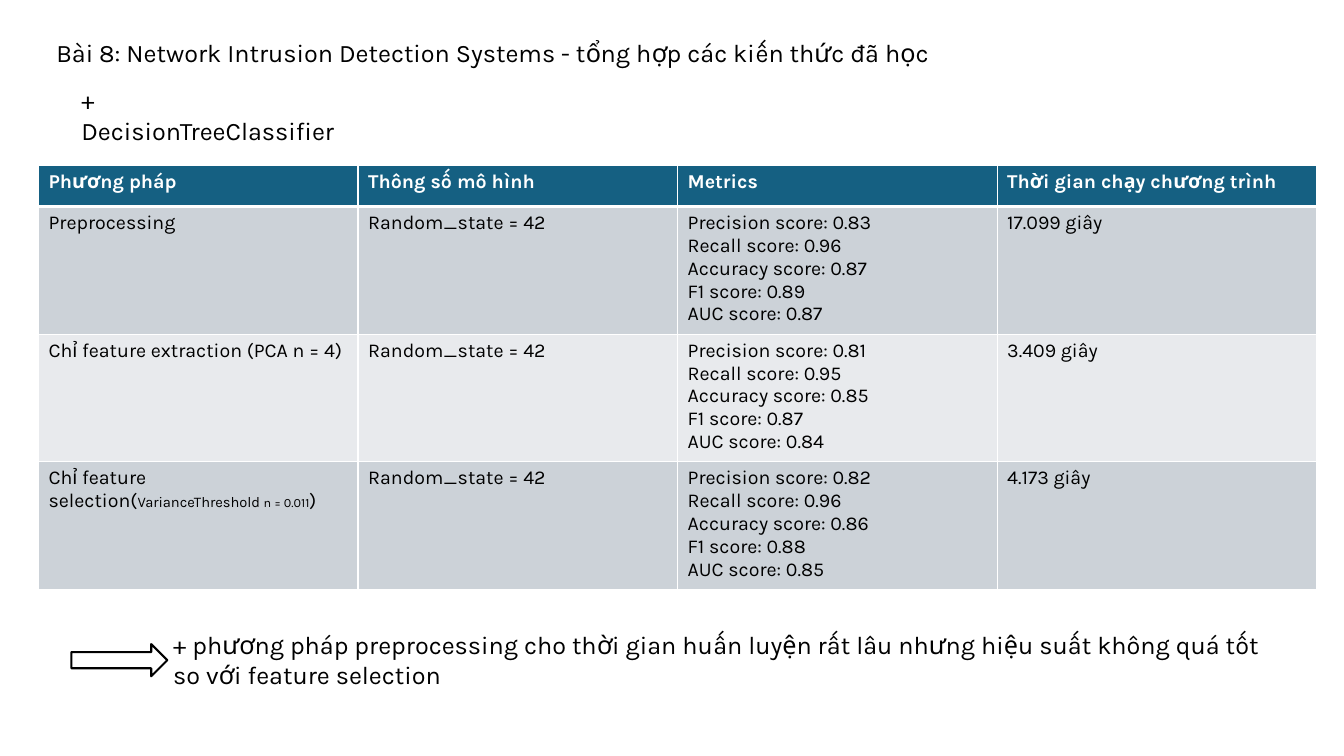
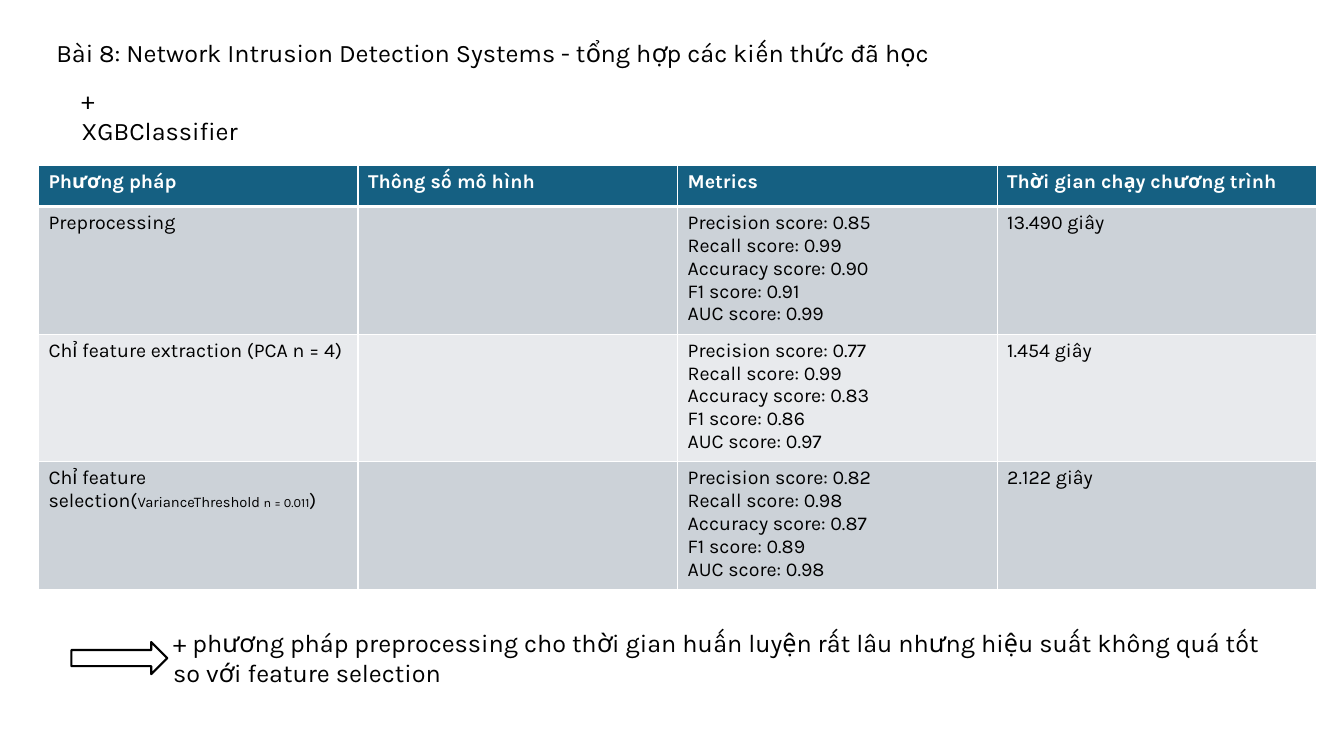
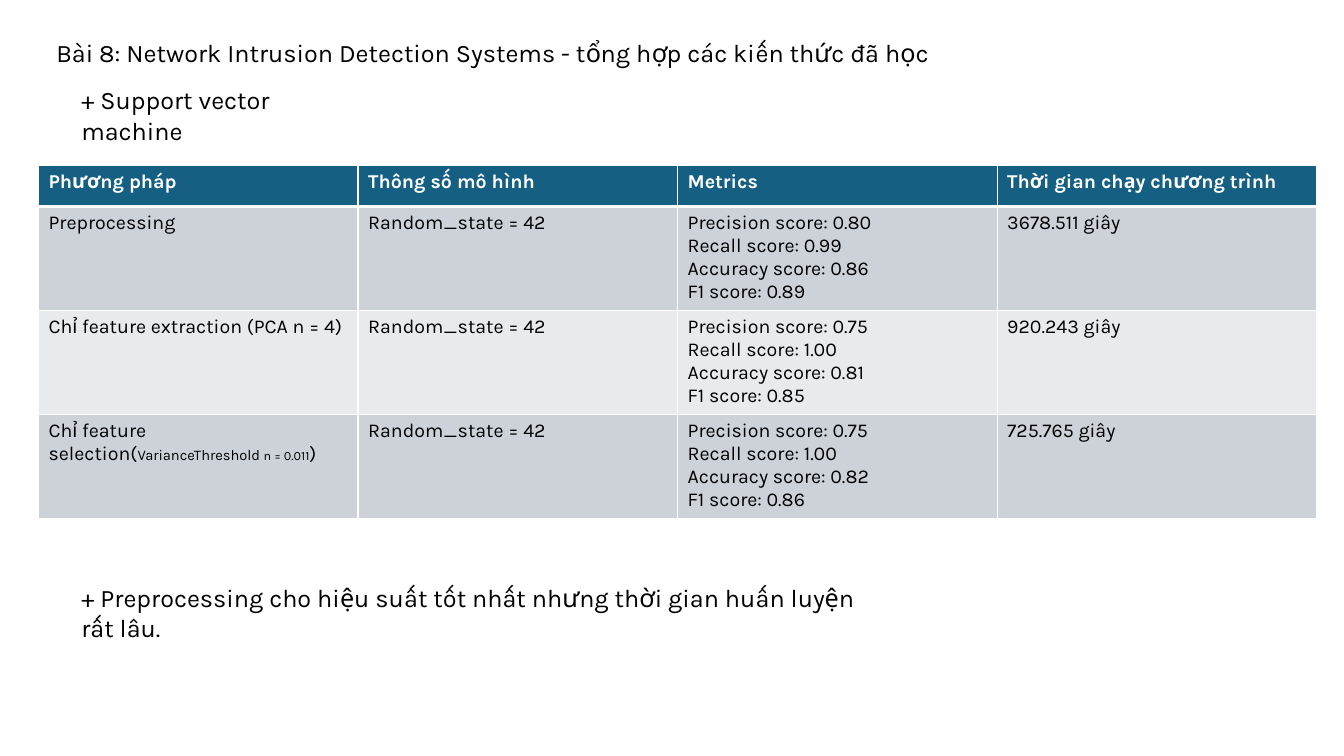
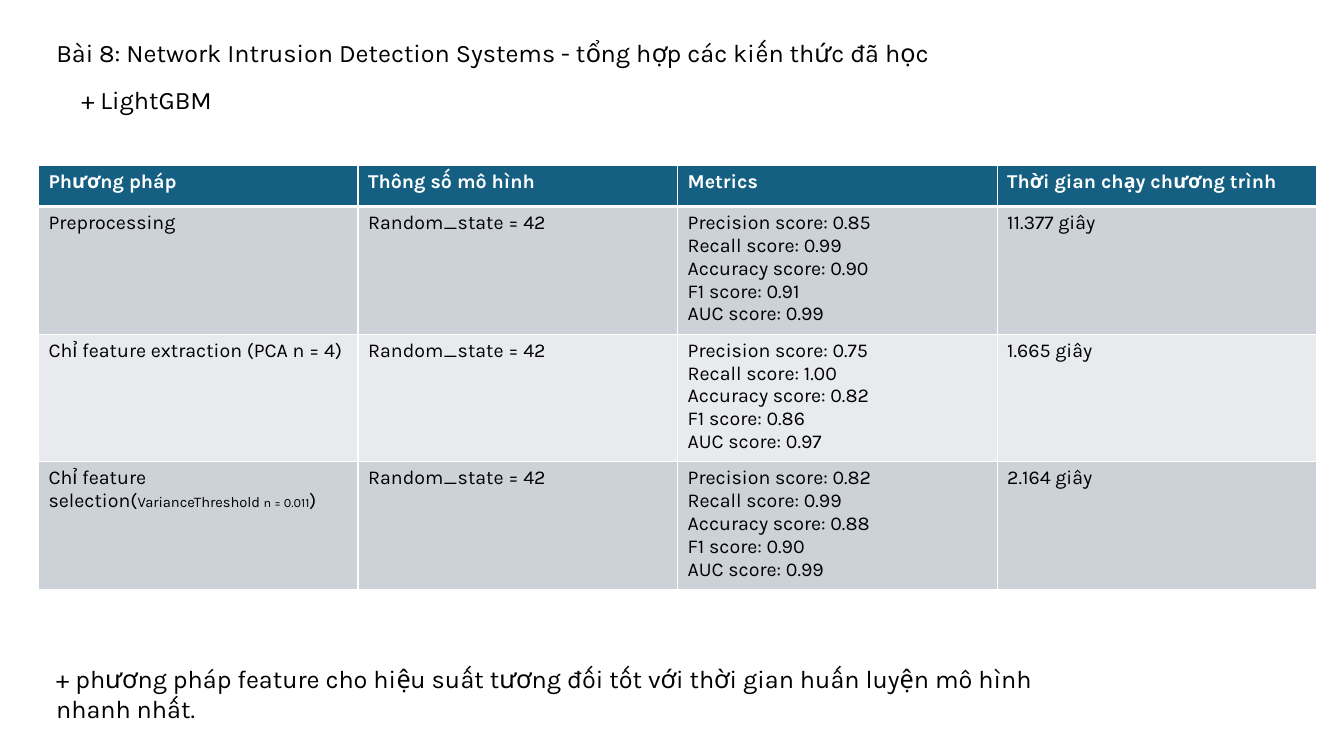
import collections

import lxml.etree
import pptx
import pptx.dml.color
import pptx.enum.shapes
import pptx.enum.text
import pptx.oxml.ns
import pptx.util

Pt = pptx.util.Pt
Box = collections.namedtuple("Box", "left top width height")
Model = collections.namedtuple("Model", "name name_width parameters scores seconds conclusion")
Conclusion = collections.namedtuple("Conclusion", "text box arrow")

COLORS = {
    "text": "000000",
    "white": "FFFFFF",
    "header": "156082",
    "band_dark": "CCD2D8",
    "band_light": "E8EAED",
}
FONT = "Karla"
BODY_SIZE = 18
CELL_SIZE = 14

TITLE = "Bài 8: Network Intrusion Detection Systems - tổng hợp các kiến thức đã học"
TITLE_BOX = Box(33, 23, 770, 29)
NAME_LEFT, NAME_TOP, NAME_HEIGHT = 51, 57, 51
TABLE_LEFT, TABLE_TOP, TABLE_WIDTH = 27.5, 118, 913
HEADER_HEIGHT = 29.5
LINE_HEIGHT = 16.8
ROW_PADDING = 7.2

HEADINGS = ["Phương pháp", "Thông số mô hình", "Metrics", "Thời gian chạy chương trình"]
# Each method is a list of (text, size) runs.
METHODS = [
    [("Preprocessing", CELL_SIZE)],
    [("Chỉ feature extraction (PCA n = 4)", CELL_SIZE)],
    [("Chỉ feature selection(", CELL_SIZE), ("VarianceThreshold ", 10.5),
     ("n = 0.011", 9), (")", CELL_SIZE)],
]
METRICS = ["Precision", "Recall", "Accuracy", "F1", "AUC"]
SEED = "Random_state = 42"
SLOW_PREPROCESSING = ("+ phương pháp preprocessing cho thời gian huấn luyện rất lâu "
                      "nhưng hiệu suất không quá tốt so với feature selection")

MODELS = [
    Model("+ DecisionTreeClassifier", 203, SEED,
          [["0.83", "0.96", "0.87", "0.89", "0.87"],
           ["0.81", "0.95", "0.85", "0.87", "0.84"],
           ["0.82", "0.96", "0.86", "0.88", "0.85"]],
          ["17.099", "3.409", "4.173"],
          Conclusion(SLOW_PREPROCESSING, Box(51, 445.7, 870, 51), True)),
    Model("+ XGBClassifier", 136, "",
          [["0.85", "0.99", "0.90", "0.91", "0.99"],
           ["0.77", "0.99", "0.83", "0.86", "0.97"],
           ["0.82", "0.98", "0.87", "0.89", "0.98"]],
          ["13.490", "1.454", "2.122"],
          Conclusion(SLOW_PREPROCESSING, Box(51, 444.2, 870, 51), True)),
    Model("+ Support vector machine", 216, SEED,
          [["0.80", "0.99", "0.86", "0.89"],
           ["0.75", "1.00", "0.81", "0.85"],
           ["0.75", "1.00", "0.82", "0.86"]],
          ["3678.511", "920.243", "725.765"],
          Conclusion("+ Preprocessing cho hiệu suất tốt nhất nhưng thời gian huấn luyện rất lâu.",
                     Box(51, 412.5, 580, 51), False)),
    Model("+ LightGBM", 108, SEED,
          [["0.85", "0.99", "0.90", "0.91", "0.99"],
           ["0.75", "1.00", "0.82", "0.86", "0.97"],
           ["0.82", "0.99", "0.88", "0.90", "0.99"]],
          ["11.377", "1.665", "2.164"],
          Conclusion("+ phương pháp feature cho hiệu suất tương đối tốt với thời gian "
                     "huấn luyện mô hình nhanh nhất.", Box(33, 470, 754.5, 51), False)),
]


def color(name):
    return pptx.dml.color.RGBColor.from_string(COLORS[name])


def in_points(box):
    return [Pt(length) for length in box]


def style_font(font, size, color_name="text", bold=False):
    font.name = FONT
    font.size = Pt(size)
    font.bold = bold
    font.color.rgb = color(color_name)


def fill_body_text(shape, text):
    frame = shape.text_frame
    frame.word_wrap = True
    frame.auto_size = pptx.enum.text.MSO_AUTO_SIZE.NONE
    frame.vertical_anchor = pptx.enum.text.MSO_ANCHOR.TOP
    frame.text = text
    para = frame.paragraphs[0]
    para.alignment = pptx.enum.text.PP_ALIGN.LEFT
    style_font(para.font, BODY_SIZE)


def add_text(page, box, text):
    fill_body_text(page.shapes.add_textbox(*in_points(box)), text)


def add_title(page, box):
    title = page.shapes.title
    title.left, title.top, title.width, title.height = in_points(box)
    fill_body_text(title, TITLE)


def set_borders(cell, top, bottom):
    """Draw white cell edges; top and bottom are widths in points."""
    properties = cell._tc.get_or_add_tcPr()
    for edge, width in (("lnL", 1), ("lnR", 1), ("lnT", top), ("lnB", bottom)):
        line = lxml.etree.SubElement(properties, pptx.oxml.ns.qn("a:" + edge), w=str(Pt(width)))
        fill = lxml.etree.SubElement(line, pptx.oxml.ns.qn("a:solidFill"))
        lxml.etree.SubElement(fill, pptx.oxml.ns.qn("a:srgbClr"), val=COLORS["white"])


def fill_cell(cell, lines, row):
    """Write lines, each a list of (text, size) runs, in the style of the row."""
    header = row == 0
    set_borders(cell, top=3 if row == 1 else 1, bottom=3 if header else 1)
    cell.fill.solid()
    cell.fill.fore_color.rgb = color(
        "header" if header else "band_dark" if row % 2 else "band_light")
    frame = cell.text_frame
    for number, runs in enumerate(lines):
        para = frame.add_paragraph() if number else frame.paragraphs[0]
        style_font(para.font, CELL_SIZE, "white" if header else "text", header)
        for text, size in runs:
            span = para.add_run()
            span.text = text
            if size != CELL_SIZE:
                span.font.size = Pt(size)


def plain(text):
    return [(text, CELL_SIZE)]


def add_results_table(page, box, model):
    rows = [[[plain(heading)] for heading in HEADINGS]]
    for method, scores, seconds in zip(METHODS, model.scores, model.seconds):
        metrics = [plain(f"{metric} score: {score}") for metric, score in zip(METRICS, scores)]
        rows.append([[method], [plain(model.parameters)], metrics, [plain(f"{seconds} giây")]])

    table = page.shapes.add_table(len(rows), len(HEADINGS), *in_points(box)).table
    table.horz_banding = False
    for column in table.columns:
        column.width = Pt(box.width / len(HEADINGS))
    row_height = (box.height - HEADER_HEIGHT) / len(METHODS)
    for row, cells in enumerate(rows):
        table.rows[row].height = Pt(row_height if row else HEADER_HEIGHT)
        for column, lines in enumerate(cells):
            fill_cell(table.cell(row, column), lines, row)


def add_conclusion(page, conclusion):
    box = conclusion.box
    indent = 65.6 if conclusion.arrow else 0
    add_text(page, Box(box.left + indent, box.top, box.width - indent, box.height),
             conclusion.text)
    if conclusion.arrow:
        arrow = page.shapes.add_shape(
            pptx.enum.shapes.MSO_SHAPE.RIGHT_ARROW,
            *in_points(Box(box.left, box.top + 14.4, 68.5, 23)))
        arrow.shadow.inherit = False
        arrow.fill.solid()
        arrow.fill.fore_color.rgb = color("white")
        arrow.line.color.rgb = color("text")
        arrow.line.width = Pt(1.5)


def add_model_page(deck, model):
    page = deck.slides.add_slide(deck.slide_layouts[5])
    add_title(page, TITLE_BOX)
    add_text(page, Box(NAME_LEFT, NAME_TOP, model.name_width, NAME_HEIGHT), model.name)
    row_height = len(model.scores[0]) * LINE_HEIGHT + ROW_PADDING
    height = HEADER_HEIGHT + len(METHODS) * row_height
    add_results_table(page, Box(TABLE_LEFT, TABLE_TOP, TABLE_WIDTH, height), model)
    add_conclusion(page, model.conclusion)


def main():
    deck = pptx.Presentation()
    deck.slide_width, deck.slide_height = Pt(960), Pt(540)
    for model in MODELS:
        add_model_page(deck, model)
    deck.save("out.pptx")


if __name__ == "__main__":
    main()
